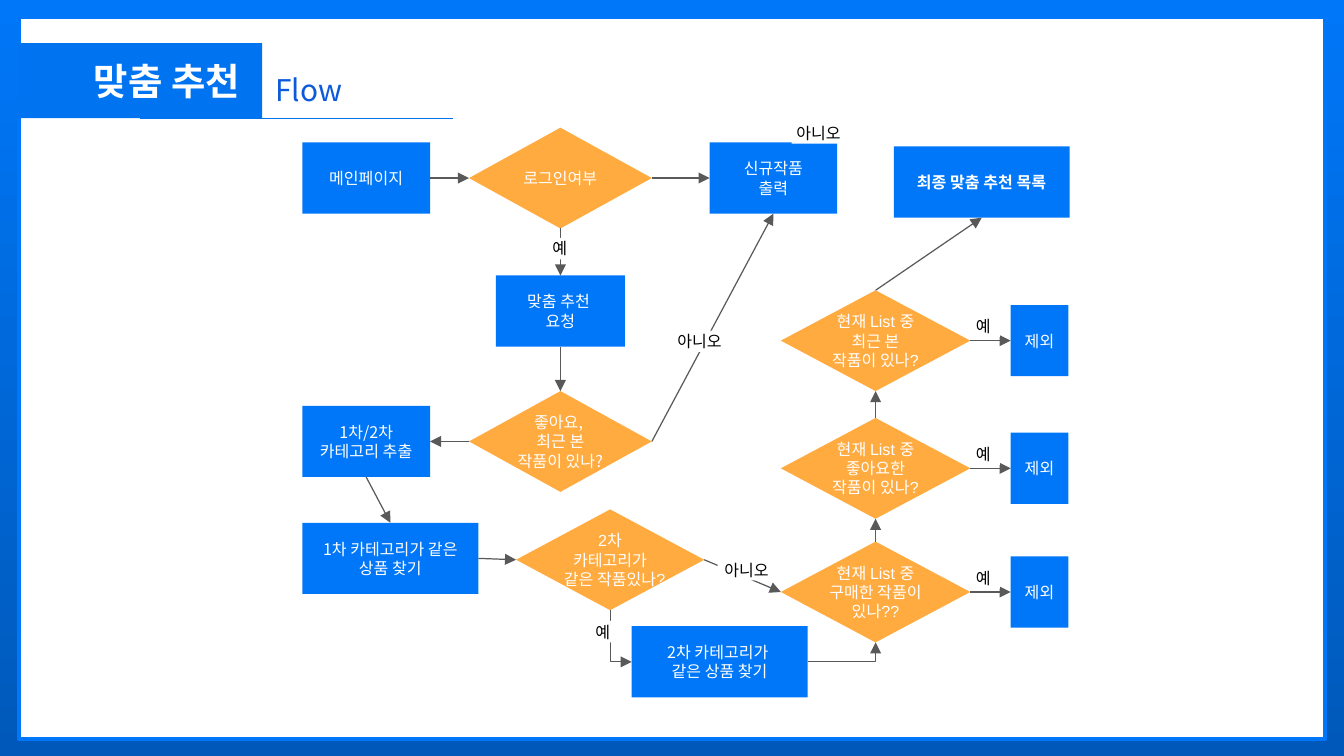
import pptx
import pptx.dml.color
import pptx.enum.dml
import pptx.enum.shapes
import pptx.enum.text
import pptx.util
from pptx.oxml.ns import qn
from pptx.util import Inches

RGBColor = pptx.dml.color.RGBColor
SHAPE = pptx.enum.shapes.MSO_SHAPE
CONNECTOR = pptx.enum.shapes.MSO_CONNECTOR
ANCHOR = pptx.enum.text.MSO_ANCHOR
ALIGN = pptx.enum.text.PP_ALIGN

BLUE = RGBColor(0x00, 0x77, 0xF8)
TITLE_BLUE = RGBColor(0x00, 0x73, 0xF1)
SUBTITLE_BLUE = RGBColor(0x0C, 0x5A, 0xDB)
DEEP_BLUE = RGBColor(0x00, 0x59, 0xBA)
ORANGE = RGBColor(0xFF, 0xAB, 0x40)
GRAY = RGBColor(0x59, 0x59, 0x59)
WHITE = RGBColor(0xFF, 0xFF, 0xFF)
BLACK = RGBColor(0x00, 0x00, 0x00)

NOTO = "Noto Sans CJK KR"
ARIAL = "Arial"
BOX_H, DIAMOND_H = 0.53, 0.75
TOP, LEFT, BOTTOM, RIGHT = range(4)

# Process boxes: name, left, top, width, lines, font format
BOXES = [
    ("main", 2.25, 1.06, 0.95, ["메인페이지"], {"name": ARIAL}),
    ("request", 3.69, 2.05, 0.96, ["맞춤 추천 ", "요청"], {"name": ARIAL}),
    ("new", 5.28, 1.06, 0.95, ["신규작품", "출력"], {}),
    ("extract", 2.25, 3.02, 0.95, ["1차/2차", "카테고리 추출"], {}),
    ("first", 2.25, 3.89, 1.31, ["1차 카테고리가 같은 상품 찾기"], {}),
    ("second", 4.7, 4.66, 1.31, ["2차 카테고리가 ", "같은 상품 찾기"], {}),
    ("result", 6.65, 1.09, 1.31, ["최종 맞춤 추천 목록"], {"bold": True}),
]
# Decisions, in the same form
DECISIONS = [
    ("login", 3.49, 0.95, 1.36, ["로그인여부"], {}),
    ("history", 3.49, 2.91, 1.36, ["좋아요, ", "최근 본 작품이 있나?"], {}),
    ("same", 3.84, 3.79, 1.4, ["2차 카테고리가 같은 작품있나?"], {"name": ARIAL}),
]
# Checks that drop works from the list: name, top, question
CHECKS = [
    ("bought", 4.03, "구매한 작품이 있나??"),
    ("liked", 3.11, "좋아요한 작품이 있나?"),
    ("viewed", 2.16, "최근 본 작품이 있나?"),
]
ARROWS = [
    ("main", RIGHT, "login", LEFT),
    ("login", RIGHT, "new", LEFT),
    ("login", BOTTOM, "request", TOP),
    ("request", BOTTOM, "history", TOP),
    ("history", RIGHT, "new", BOTTOM),
    ("history", LEFT, "extract", RIGHT),
    ("extract", BOTTOM, "first", TOP),
    ("first", RIGHT, "same", LEFT),
    ("same", RIGHT, "bought", LEFT),
    ("bought", TOP, "liked", BOTTOM),
    ("liked", TOP, "viewed", BOTTOM),
    ("viewed", TOP, "result", BOTTOM),
]
# Branch labels: left, top, width, text
LABELS = [
    (5.89, 0.91, 0.43, "아니오 "),
    (4.04, 1.77, 0.25, "예"),
    (4.99, 2.46, 0.43, "아니오"),
    (5.34, 4.16, 0.43, "아니오"),
    (4.36, 4.62, 0.25, "예"),
]


def set_text(sp, lines, inset=0.0, anchor=ANCHOR.MIDDLE, align=ALIGN.CENTER, **fmt):
    tf = sp.text_frame
    frame = {"word_wrap": True, "vertical_anchor": anchor,
             "auto_size": pptx.enum.text.MSO_AUTO_SIZE.NONE}
    frame.update({f"margin_{side}": Inches(inset)
                  for side in ("left", "top", "right", "bottom")})
    for key, value in frame.items():
        setattr(tf, key, value)
    font = {"name": NOTO, "size": 8.6, "bold": False, "color": WHITE, **fmt}
    color = font.pop("color")
    font["size"] = pptx.util.Pt(font["size"])
    for i, line in enumerate(lines):
        p = tf.paragraphs[0] if i == 0 else tf.add_paragraph()
        p.alignment = align
        p.space_before = pptx.util.Pt(0)
        r = p.add_run()
        r.text = line
        for key, value in font.items():
            setattr(r.font, key, value)
        r.font.color.rgb = color


def place(sp, left, top, width, height):
    for key, value in zip(("left", "top", "width", "height"), (left, top, width, height)):
        setattr(sp, key, Inches(value))


def add_block(s, kind, left, top, width, height, fill):
    sp = s.shapes.add_shape(kind, Inches(left), Inches(top), Inches(width), Inches(height))
    sp.shadow.inherit = False
    sp.fill.solid()
    sp.fill.fore_color.rgb = fill
    sp.line.fill.background()
    return sp


def add_box(s, left, top, width, lines, fmt):
    sp = add_block(s, SHAPE.RECTANGLE, left, top, width, BOX_H, BLUE)
    set_text(sp, lines, 0.09, **fmt)
    return sp


def add_decision(s, left, top, width, lines, fmt):
    sp = add_block(s, SHAPE.DIAMOND, left, top, width, DIAMOND_H, ORANGE)
    set_text(sp, lines, **fmt)
    return sp


def add_label(s, left, top, width, text):
    sp = add_block(s, SHAPE.RECTANGLE, left, top, width, 0.16, WHITE)
    set_text(sp, [text], color=BLACK)


def add_line(s, ends=(0, 0, 0, 0), kind=CONNECTOR.STRAIGHT, color=GRAY, width=0.65):
    c = s.shapes.add_connector(kind, *[Inches(v) for v in ends])
    c.line.color.rgb = color
    c.line.width = pptx.util.Pt(width)
    c._element.spPr.append(c._element.makeelement(qn("a:effectLst")))
    return c


def add_arrow(s, start, start_side, end, end_side, kind=CONNECTOR.STRAIGHT):
    c = add_line(s, kind=kind)
    c.begin_connect(start, start_side)
    c.end_connect(end, end_side)
    ln = c.line._get_or_add_ln()
    ln.append(ln.makeelement(qn("a:tailEnd"), {"type": "triangle"}))
    return c


def add_elbow(s, start, start_side, end, end_side):
    c = add_arrow(s, start, start_side, end, end_side, CONNECTOR.ELBOW)
    c._element.spPr.find(qn("a:prstGeom")).set("prst", "bentConnector2")
    if start_side == BOTTOM:
        # Leave downwards: turn the elbow about its centre
        x, y, w, h = c.left, c.top, c.width, c.height
        c.left, c.top = x + (w - h) // 2, y + (h - w) // 2
        c.width, c.height = h, w
        xfrm = c._element.spPr.find(qn("a:xfrm"))
        xfrm.set("rot", "16200000")
        xfrm.set("flipH", "1")


def add_heading(s):
    title, subtitle = s.shapes.title, s.placeholders[1]
    place(title, 0.13, 0.32, 1.82, 0.56)
    title.fill.solid()
    title.fill.fore_color.rgb = TITLE_BLUE
    set_text(title, ["맞춤 추천 "], 0.1, align=ALIGN.RIGHT, size=20, bold=True)
    place(subtitle, 1.95, 0.32, 1.38, 0.56)
    set_text(subtitle, ["Flow"], 0.1, ANCHOR.BOTTOM, ALIGN.LEFT, size=16, color=SUBTITLE_BLUE)
    subtitle.text_frame.margin_bottom = Inches(0.08)
    add_line(s, (1.04, 0.88, 3.37, 0.88), color=TITLE_BLUE, width=0.75)


def add_backdrop(s):
    fill = s.background.fill
    fill.gradient()
    fill.gradient_angle = 270
    for stop, color, at in zip(fill.gradient_stops, (BLUE, DEEP_BLUE), (0, 1)):
        stop.color.rgb = color
        stop.position = at
    sp = add_block(s, SHAPE.RECTANGLE, 0.14, 0.13, 9.72, 5.37, WHITE)
    sp.line.color.rgb = BLUE
    sp.line.width = pptx.util.Pt(2.25)
    s.shapes._spTree.insert(2, sp._element)  # behind the placeholders


def main():
    prs = pptx.Presentation()
    prs.slide_width = Inches(10)
    prs.slide_height = prs.slide_width * 9 // 16
    s = prs.slides.add_slide(prs.slide_layouts[0])
    add_backdrop(s)
    add_heading(s)

    # Steps of the flow
    nodes = {name: add_box(s, *rest) for name, *rest in BOXES}
    nodes.update({name: add_decision(s, *rest) for name, *rest in DECISIONS})
    for name, top, question in CHECKS:
        lines = ["현재 List 중", question]
        nodes[name] = add_decision(s, 5.81, top, 1.41, lines, {"name": ARIAL})
        drop = add_box(s, 7.52, top + (DIAMOND_H - BOX_H) / 2, 0.43, ["제외"], {})
        add_arrow(s, nodes[name], RIGHT, drop, LEFT)
        add_label(s, 7.19, top + 0.19, 0.25, "예")

    # Arrows between steps, then the labels over them
    for start, start_side, end, end_side in ARROWS:
        add_arrow(s, nodes[start], start_side, nodes[end], end_side)
    add_elbow(s, nodes["same"], BOTTOM, nodes["second"], LEFT)
    add_elbow(s, nodes["second"], RIGHT, nodes["bought"], BOTTOM)
    for label in LABELS:
        add_label(s, *label)
    prs.save("out.pptx")


if __name__ == "__main__":
    main()
